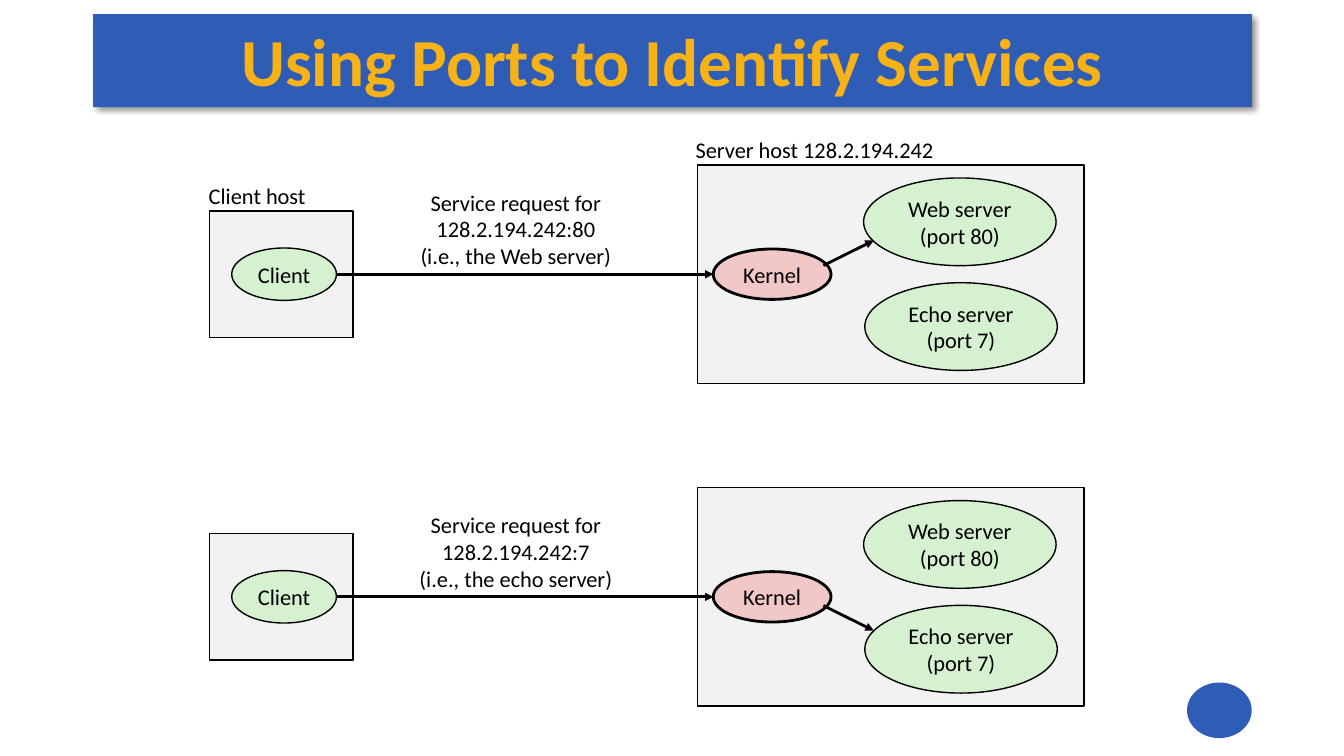
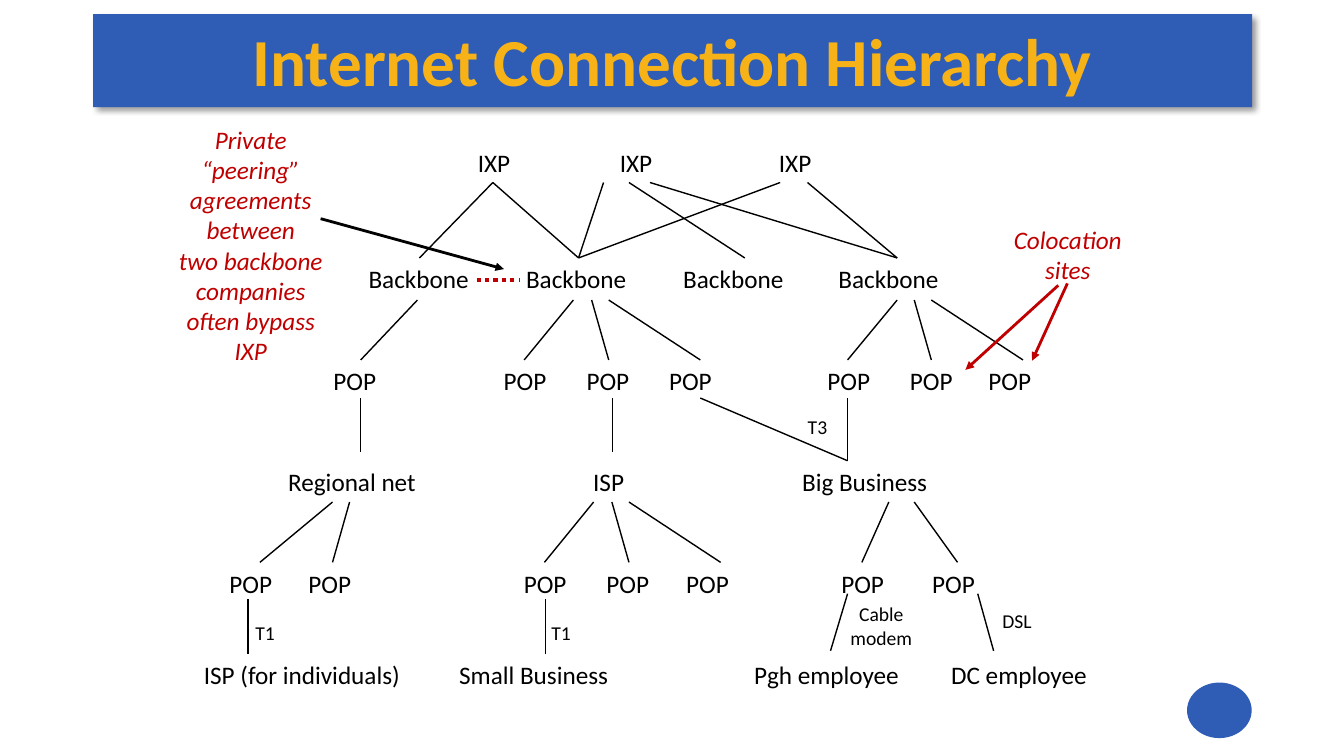
from dataclasses import dataclass

from lxml.etree import SubElement
from pptx import Presentation
from pptx.dml.color import RGBColor
from pptx.enum.dml import MSO_LINE
from pptx.enum.shapes import MSO_CONNECTOR, MSO_SHAPE
from pptx.enum.text import MSO_ANCHOR, PP_ALIGN
from pptx.oxml.ns import qn
from pptx.util import Cm, Pt


@dataclass(frozen=True)
class Theme:
    font: str = "Calibri"
    blue: str = "2F5CB5"
    gold: str = "F7B217"
    black: str = "000000"
    red: str = "C00000"
    gray: str = "F2F2F2"
    green: str = "D5F1CF"
    pink: str = "F1C7C7"
    head: int = 48
    node: int = 18
    body: int = 16
    small: int = 14


T = Theme()


class Deck:
    def __init__(self):
        self.file = Presentation()
        self.file.slide_width, self.file.slide_height = Cm(33.87), Cm(19.05)
        self.slide = None

    def start(self, title):
        """Add a slide with its title band and corner disc."""
        self.slide = self.file.slides.add_slide(self.file.slide_layouts[6])
        band = self.shape(MSO_SHAPE.RECTANGLE, 16.95, 1.53, 29.21, 2.34, T.blue)
        self.shade(band)
        self.shape(MSO_SHAPE.OVAL, 30.73, 17.9, 1.63, 1.4, T.blue)
        self.text(title, 16.95, 1.5, T.head, T.gold, bold=True)

    def shade(self, shape):
        effect = shape.element.spPr.find(qn("a:effectLst"))
        outer = SubElement(effect, qn("a:outerShdw"), blurRad=str(Pt(4)),
                           dist=str(Pt(3)), dir="2700000", algn="tl",
                           rotWithShape="0")
        color = SubElement(outer, qn("a:srgbClr"), val=T.black)
        SubElement(color, qn("a:alpha"), val="40000")

    def shape(self, kind, x, y, wide, high, fill, line=0, words=""):
        """Add a shape centred at x, y; a line of 0 means no outline."""
        shape = self.slide.shapes.add_shape(
            kind, Cm(x - wide / 2), Cm(y - high / 2), Cm(wide), Cm(high))
        shape.shadow.inherit = False
        shape.fill.solid()
        shape.fill.fore_color.rgb = RGBColor.from_string(fill)
        if line:
            shape.line.color.rgb = RGBColor.from_string(T.black)
            shape.line.width = Pt(line)
        else:
            shape.line.fill.background()
        if words:
            self.fill_in(shape.text_frame, words, T.body, T.black)
            shape.text_frame.word_wrap = False
        return shape

    def host(self, x, y, wide, high):
        self.shape(MSO_SHAPE.RECTANGLE, x, y, wide, high, T.gray, 1)

    def oval(self, words, x, y, wide, high, fill=T.green, line=1):
        self.shape(MSO_SHAPE.OVAL, x, y, wide, high, fill, line, words)

    def text(self, words, x, y, size=T.node, color=T.black, bold=False,
             italic=False, left=False):
        """Add text sized to its words; x is its centre, or its left edge."""
        lines = words.split("\n")
        wide = size / 18 * (0.26 * max(map(len, lines)) + 0.8)
        high = 0.043 * size * len(lines)
        edge = x if left else x - wide / 2
        box = self.slide.shapes.add_textbox(
            Cm(edge), Cm(y - high / 2), Cm(wide), Cm(high))
        align = PP_ALIGN.LEFT if left else PP_ALIGN.CENTER
        self.fill_in(box.text_frame, words, size, color, bold, italic, align)

    def fill_in(self, frame, words, size, color, bold=False, italic=False,
                align=PP_ALIGN.CENTER):
        frame.text = words
        frame.word_wrap = True
        frame.vertical_anchor = MSO_ANCHOR.MIDDLE
        frame.margin_left = frame.margin_right = 0
        frame.margin_top = frame.margin_bottom = 0
        for para in frame.paragraphs:
            para.alignment = align
            for run in para.runs:
                font = run.font
                font.name, font.size = T.font, Pt(size)
                font.bold, font.italic = bold, italic
                font.color.rgb = RGBColor.from_string(color)

    def line(self, start, end, width=1, color=T.black, arrow=False, dash=None):
        link = self.slide.shapes.add_connector(
            MSO_CONNECTOR.STRAIGHT, *map(Cm, start + end))
        link.line.width = Pt(width)
        link.line.color.rgb = RGBColor.from_string(color)
        if dash:
            link.line.dash_style = dash
        props = link.element.spPr
        if arrow:
            SubElement(props.find(qn("a:ln")), qn("a:tailEnd"), type="triangle")
        SubElement(props, qn("a:effectLst"))


def ports(deck):
    deck.start("Using Ports to Identify Services")
    # Each row: middle, request, and side of the chosen server (-1 is up)
    rows = [
        (6.91, "Service request for\n128.2.194.242:80\n(i.e., the Web server)", -1),
        (15.04, "Service request for\n128.2.194.242:7\n(i.e., the echo server)", 1),
    ]
    for mid, ask, side in rows:
        # Hosts and processes
        deck.host(7.09, mid, 3.61, 3.18)
        deck.host(22.45, mid, 9.73, 5.51)
        deck.oval("Client", 7.16, mid, 2.64, 1.32)
        deck.oval("Kernel", 19.46, mid, 2.97, 1.27, T.pink, 2)
        deck.oval("Web server\n(port 80)", 24.19, mid - 1.32, 4.85, 2.21)
        deck.oval("Echo server\n(port 7)", 24.22, mid + 1.32, 4.85, 2.21)
        # Request and its way to the server
        deck.text(ask, 13, mid - 1.14, T.body)
        deck.line((8.46, mid), (17.98, mid), 2, arrow=True)
        deck.line((20.75, mid + side * 0.22), (22.02, mid + side * 0.85), 2,
                  arrow=True)
    # Host names
    deck.text("Client host", 5.26, 4.94, T.body, left=True)
    deck.text("Server host 128.2.194.242", 17.53, 3.77, T.body, left=True)


def tree(deck):
    deck.start("Internet Connection Hierarchy")
    # Levels of equal names: name, middle, centres
    levels = [
        ("IXP", 4.09, (12.45, 16.03, 20.04)),
        ("Backbone", 7.01, (10.55, 14.52, 18.48, 22.39)),
        ("POP", 9.58, (8.94, 13.23, 15.32, 17.4, 21.39, 23.47, 25.45)),
        ("POP", 14.71, (6.32, 8.31, 13.74, 15.82, 17.83, 21.74, 24.03)),
    ]
    for name, y, spots in levels:
        for x in spots:
            deck.text(name, x, y)
    # Levels of mixed names
    mixed = [
        (12.12, [("Regional net", 8.87), ("ISP", 15.34), ("Big Business", 21.79)]),
        (16.99, [("ISP (for individuals)", 7.61), ("Small Business", 13.45),
                 ("Pgh employee", 20.83), ("DC employee", 25.68)]),
    ]
    for y, names in mixed:
        for name, x in names:
            deck.text(name, x, y)
    # Links: top, bottom, pairs of upper and lower x
    links = [
        (4.6, 6.5, [(12.42, 10.57), (12.42, 14.58), (15.21, 14.58),
                    (15.85, 18.77), (16.38, 22.61), (19.66, 14.58),
                    (20.35, 22.61)]),
        (7.56, 9.07, [(10.52, 9.09), (14.45, 13.21), (14.91, 15.34),
                      (15.34, 17.65), (22.61, 21.36), (23.04, 23.47),
                      (23.47, 25.78)]),
        (10.03, 11.4, [(9.09, 9.09), (15.44, 15.44)]),
        (10.03, 11.61, [(17.65, 21.36), (21.36, 21.36)]),
        (12.65, 14.17, [(8.38, 6.55), (8.81, 8.38), (14.96, 13.72),
                        (15.42, 15.85), (15.85, 18.16), (22.4, 21.72),
                        (23.04, 24.13)]),
        (15.09, 16.48, [(6.25, 6.25), (13.74, 13.74)]),
        (14.96, 16.4, [(21.36, 20.93), (24.64, 25.04)]),
    ]
    for top, low, pairs in links:
        for start, end in pairs:
            deck.line((start, top), (end, low))
    # Link types
    for name, x, y in [("T3", 20.6, 10.74), ("T1", 6.68, 15.93),
                       ("T1", 14.14, 15.93), ("Cable\nmodem", 22.21, 15.76),
                       ("DSL", 25.63, 15.65)]:
        deck.text(name, x, y, T.small)
    # Peering note
    deck.text("Private\n“peering”\nagreements\nbetween\ntwo backbone\n"
              "companies\noften bypass\nIXP", 6.32, 6.17, color=T.red, italic=True)
    deck.line((8.08, 5.51), (12.7, 6.78), 2, arrow=True)
    deck.line((12.01, 7.06), (13.08, 7.06), 3, T.red, dash=MSO_LINE.ROUND_DOT)
    # Colocation note
    deck.text("Colocation\nsites", 26.91, 6.41, color=T.red, italic=True)
    deck.line((26.9, 7.14), (26.01, 9.09), 2, T.red, arrow=True)
    deck.line((26.67, 7.19), (24.33, 9.32), 2, T.red, arrow=True)


def main():
    deck = Deck()
    ports(deck)
    tree(deck)
    deck.file.save("out.pptx")


if __name__ == "__main__":
    main()
